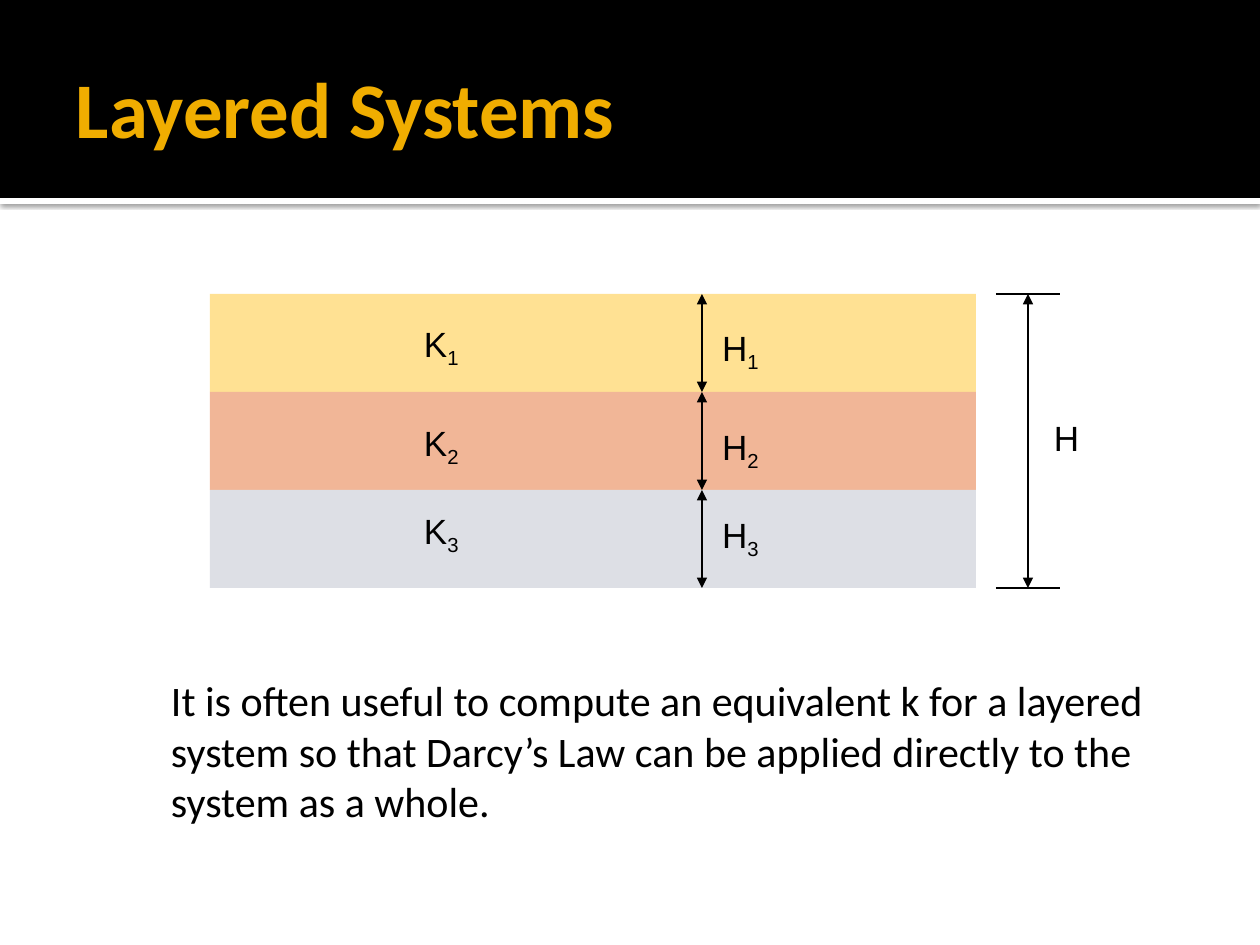
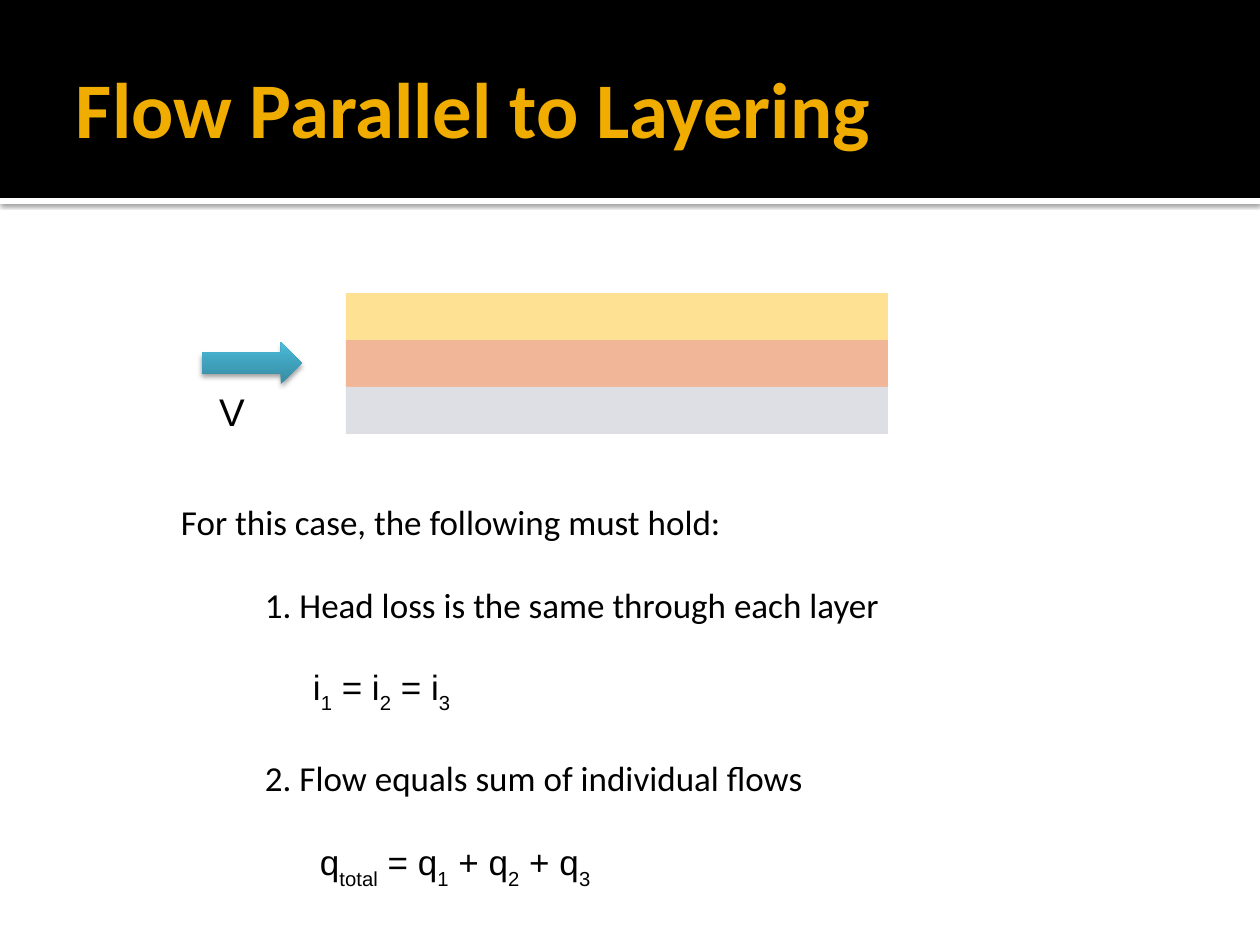
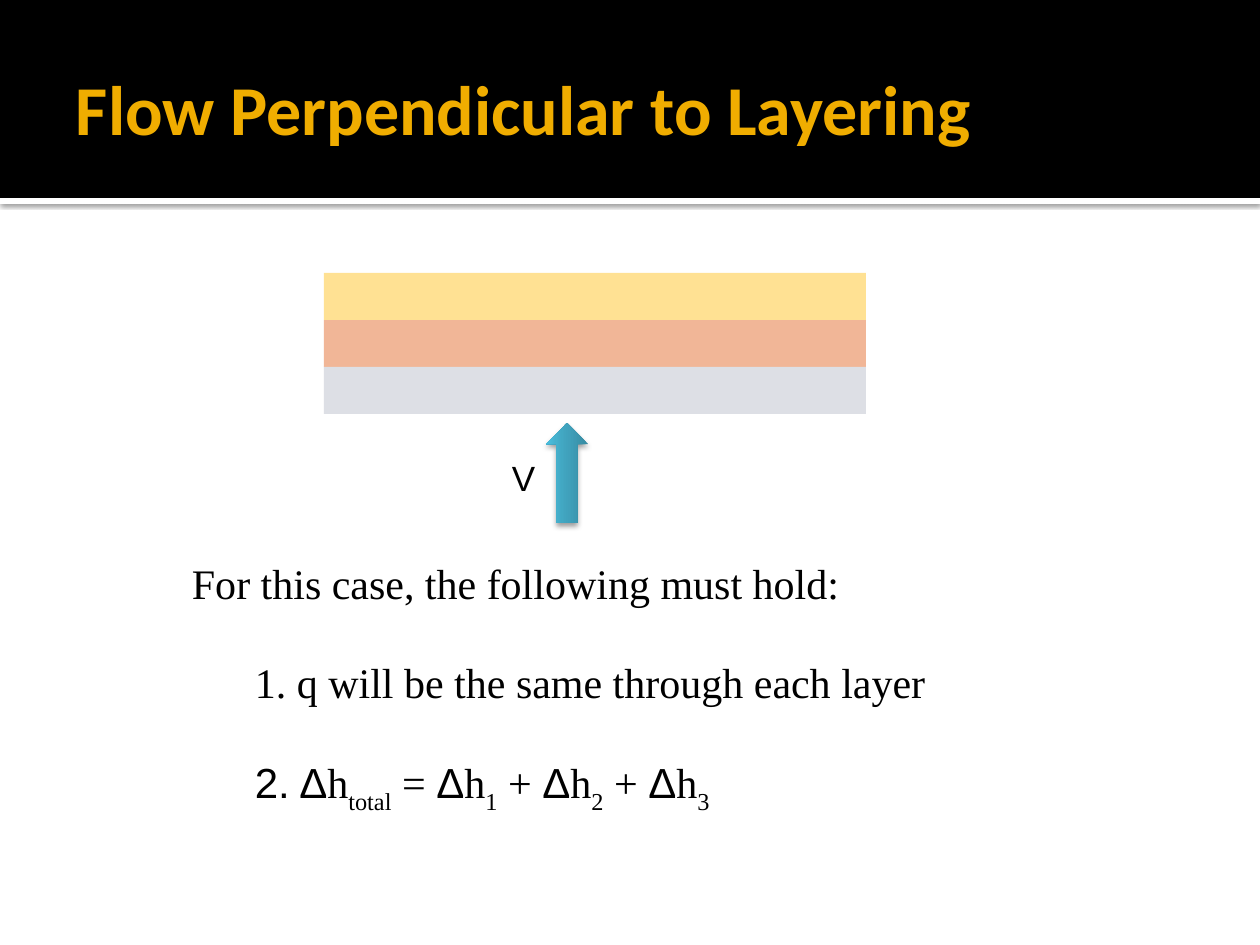
import pptx
import pptx.util
import pptx.dml.color
import pptx.enum.shapes
import pptx.enum.text
import pptx.oxml
import pptx.oxml.ns

C = {
    "band": "000000",
    "strip": "FFFFFF",
    "title": "F0AD00",
    "ink": "000000",
    "layers": ["FFE193", "F1B697", "DDDFE5"],
    "flow": {0: "378BA2", 55: "41A4BF", 100: "4BBFDE"},
}
BODY, LABEL, SERIF = "Calibri", "Arial", "Times New Roman"
W, H = 1260, 945
SHAPE = pptx.enum.shapes.MSO_SHAPE
TOP = pptx.enum.text.MSO_ANCHOR.TOP
MIDDLE = pptx.enum.text.MSO_ANCHOR.MIDDLE
INSETS = (13, 6, 13, 6)


def px(n):
    return pptx.util.Emu(round(n * 914400 / 126))


def rgb(name):
    return pptx.dml.color.RGBColor.from_string(name)


def assign(obj, values):
    for name, value in values.items():
        setattr(obj, name, value)


def xml(tag, inner="", attrs=""):
    ns = pptx.oxml.ns.nsdecls("a")
    return pptx.oxml.parse_xml(f"<a:{tag} {ns} {attrs}>{inner}</a:{tag}>")


def add_shadow(sp, alpha, blur, dist):
    for old in sp._element.spPr.findall(pptx.oxml.ns.qn("a:effectLst")):
        sp._element.spPr.remove(old)
    sp._element.spPr.append(xml(
        "effectLst",
        f'<a:outerShdw blurRad="{pptx.util.Pt(blur)}" dist="{pptx.util.Pt(dist)}" '
        'dir="5400000" algn="ctr" rotWithShape="0"><a:srgbClr val="000000">'
        f'<a:alpha val="{alpha * 1000}"/></a:srgbClr></a:outerShdw>'))


def add_box(s, box, color, kind=SHAPE.RECTANGLE):
    sp = s.shapes.add_shape(kind, *map(px, box))
    sp.shadow.inherit = False
    sp.line.fill.background()
    sp.fill.solid()
    sp.fill.fore_color.rgb = rgb(color)
    return sp


def add_line(s, x1, y1, x2, y2, arrows=False):
    ends = map(px, (x1, y1, x2, y2))
    sp = s.shapes.add_connector(pptx.enum.shapes.MSO_CONNECTOR.STRAIGHT, *ends)
    sp.line.width = pptx.util.Pt(1.5)
    sp.line.color.rgb = rgb(C["ink"])
    if arrows:
        for tag in ("headEnd", "tailEnd"):
            sp.line._ln.append(xml(tag, attrs='type="triangle"'))
    sp._element.spPr.append(xml("effectLst"))


def add_runs(p, runs, size, color, bold):
    for text, face, base in runs:
        r = p.add_run()
        r.text = text
        assign(r.font, {"name": face, "size": pptx.util.Pt(size), "bold": bold})
        r.font.color.rgb = rgb(color)
        if base:
            r.font._element.set("baseline", str(base * 1000))


def add_text(s, box, paragraphs, size, color=C["ink"], bold=False,
             anchor=TOP, insets=INSETS):
    tf = s.shapes.add_textbox(*map(px, box)).text_frame
    sides = ("margin_left", "margin_top", "margin_right", "margin_bottom")
    assign(tf, {"word_wrap": True, "vertical_anchor": anchor,
                **dict(zip(sides, map(px, insets)))})
    for i, (runs, indent, before) in enumerate(paragraphs):
        p = tf.add_paragraph() if i else tf.paragraphs[0]
        p.space_before = pptx.util.Pt(before)
        p._p.get_or_add_pPr().set("marL", str(px(indent)))
        add_runs(p, runs, size, color, bold)


def para(text, face, indent=0, before=0):
    return [(text, face, 0)], indent, before


def formula(parts, face, base, indent=0, before=0):
    runs = [(t, face, base if i % 2 else 0) for i, t in enumerate(parts)]
    return runs, indent, before


def frame_slide(prs, title, size=45):
    s = prs.slides.add_slide(prs.slide_layouts[6])
    add_shadow(add_box(s, (0, 198, W, 6), C["strip"]), 60, 2.5, 0.8)
    add_box(s, (0, 0, W, 198), C["band"])
    add_text(s, (63, 21, 1134, 173), [para(title, BODY)], size,
             C["title"], True, MIDDLE, (13, 6, 6, 6))
    return s


def layer_stack(s, x, y, w, row):
    for i, color in enumerate(C["layers"]):
        add_box(s, (x, y + i * row, w, row), color)


def flow_arrow(s, x, y, rotation=0):
    sp = add_box(s, (x, y, 100, 42), C["flow"][0], SHAPE.RIGHT_ARROW)
    sp.rotation = rotation
    stops = "".join(f'<a:gs pos="{pos * 1000}"><a:srgbClr val="{color}"/></a:gs>'
                    for pos, color in C["flow"].items())
    solid = sp._element.spPr.find(pptx.oxml.ns.qn("a:solidFill"))
    solid.getparent().replace(solid, xml(
        "gradFill", f'<a:gsLst>{stops}</a:gsLst><a:lin ang="16200000" scaled="0"/>',
        'rotWithShape="1"'))
    add_shadow(sp, 38, 3.1, 2)


def velocity_label(s, x, y, size):
    add_text(s, (x, y, 30, 46), [para("V", LABEL)], size, insets=(0, 0, 0, 0))


def layer_dimensions(s, x, y, w, row):
    bottom = y + 3 * row
    for i, drop in enumerate((22, 23, 13)):
        top = y + i * row
        add_line(s, x + 492, top, x + 492, top + row, True)
        for name, dx, dy in (("K", 201, drop), ("H", 499, drop + 4)):
            add_text(s, (x + dx, top + dy, 69, 55),
                     [formula([name, str(i + 1)], LABEL, -25)], 20)
    middle = x + w + 52
    add_line(s, middle, y, middle, bottom, True)
    for edge in (y, bottom):
        add_line(s, middle - 32, edge, middle + 32, edge)
    add_text(s, (middle + 13, y + 116, 69, 55), [para("H", LABEL)], 20)


def layered_systems(prs):
    s = frame_slide(prs, "Layered Systems")
    stack = (210, 294, 766, 98)
    layer_stack(s, *stack)
    layer_dimensions(s, *stack)
    add_text(s, (158, 668, 1102, 165), [para(
        "It is often useful to compute an equivalent k for a layered system "
        "so that Darcy’s Law can be applied directly to the system as a whole.",
        BODY)], 24, anchor=MIDDLE)


def parallel_flow(prs):
    s = frame_slide(prs, "Flow Parallel to Layering")
    layer_stack(s, 346, 293, 542, 47)
    flow_arrow(s, 202, 342)
    velocity_label(s, 219, 388, 22)
    add_text(s, (168, 494, 577, 55),
             [para("For this case, the following must hold:", BODY)], 20, anchor=MIDDLE)
    add_text(s, (252, 577, 766, 310), [
        para("1. Head loss is the same through each layer", BODY),
        formula(["i", "1", " = i", "2", " = i", "3"], LABEL, -30, 48, 23),
        para("2. Flow equals sum of individual flows", BODY, 0, 24),
        formula(["q", "total", " = q", "1", " + q", "2", " + q", "3"],
                LABEL, -30, 55, 24),
    ], 20)


def perpendicular_flow(prs):
    s = frame_slide(prs, "Flow Perpendicular to Layering", 40)
    layer_stack(s, 324, 273, 542, 47)
    flow_arrow(s, 517, 452, 270)
    velocity_label(s, 512, 456, 20)
    sums = []
    for lead, sub in (("2. Δ", "total"), ("Δ", "1"), ("Δ", "2"), ("Δ", "3")):
        if sums:
            sums.append((" = " if sub == "1" else " + ", SERIF, 0))
        sums += [(lead, LABEL, 0), ("h", SERIF, 0), (sub, SERIF, -30)]
    add_text(s, (179, 554, 832, 265), [
        para("For this case, the following must hold:", SERIF),
        para("1. q will be the same through each layer", SERIF, 63, 28),
        (sums, 63, 28),
    ], 24, anchor=MIDDLE)


def main():
    prs = pptx.Presentation()
    assign(prs, {"slide_width": px(W), "slide_height": px(H)})
    for build in (layered_systems, parallel_flow, perpendicular_flow):
        build(prs)
    prs.save("out.pptx")


if __name__ == "__main__":
    main()
